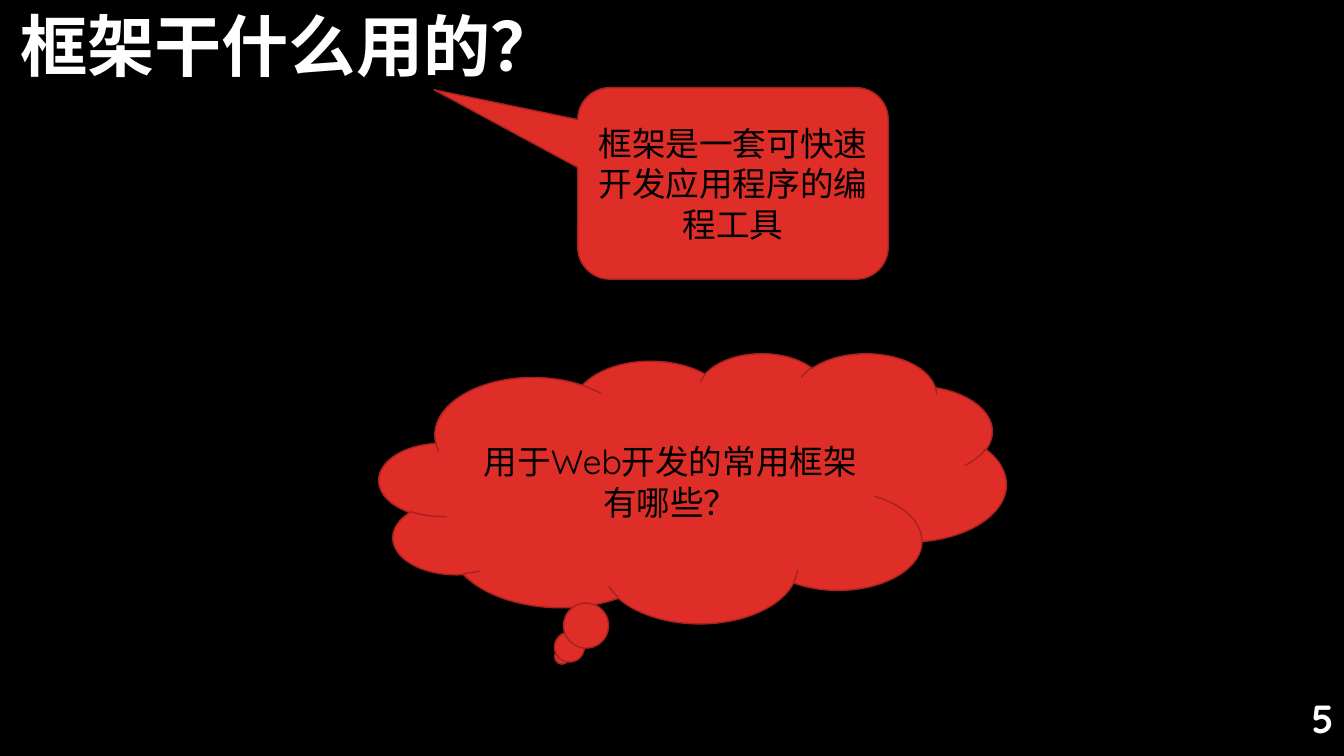
from lxml import etree
from pptx import Presentation
from pptx.dml.color import RGBColor
from pptx.enum import shapes, text
from pptx.oxml.ns import qn
from pptx.util import Inches, Pt

HAN_FONT, LATIN_FONT = "Noto Sans CJK SC", "Quicksand"
BLACK, WHITE, RED, DARK_RED = "000000", "FFFFFF", "DF2E28", "A5221E"

TITLE = "框架干什么用的？"
PAGE_NUMBER = "5"
# preset, (left, top, width, height), adjustments, wording
CALLOUTS = [
    (shapes.MSO_SHAPE.ROUNDED_RECTANGULAR_CALLOUT, (5.73, 0.87, 3.08, 1.9),
     (-0.963, -0.489, 0.167), "框架是一套可快速开发应用程序的编程工具"),
    (shapes.MSO_SHAPE.CLOUD_CALLOUT, (3.76, 3.5, 6.22, 2.68),
     (), "用于Web开发的常用框架有哪些？"),
]


def color(value):
    return RGBColor.from_string(value)


def place(shape, left, top, width, height):
    shape.left, shape.top = Inches(left), Inches(top)
    shape.width, shape.height = Inches(width), Inches(height)


def write(shape, wording, size, font, hue, align, bold=False):
    frame = shape.text_frame
    frame.word_wrap = True
    frame.auto_size = text.MSO_AUTO_SIZE.NONE
    frame.vertical_anchor = text.MSO_ANCHOR.MIDDLE
    para = frame.paragraphs[0]
    para.alignment = align
    span = para.add_run()
    span.text = wording
    span.font.size, span.font.bold, span.font.name = Pt(size), bold, font
    span.font.color.rgb = color(hue)
    east_asian = etree.Element(qn("a:ea"), typeface=HAN_FONT)
    span.font._element.find(qn("a:latin")).addnext(east_asian)
    return para


deck = Presentation()
deck.slide_width, deck.slide_height = Inches(13.33), Inches(7.5)
page = deck.slides.add_slide(deck.slide_layouts[5])
page.background.fill.solid()
page.background.fill.fore_color.rgb = color(BLACK)

title = page.shapes.title
place(title, 0.1, 0, 9.33, 0.99)
para = write(title, TITLE, 48, HAN_FONT, WHITE, text.PP_ALIGN.LEFT, bold=True)
para.line_spacing = 0.9

for preset, box, adjustments, wording in CALLOUTS:
    callout = page.shapes.add_shape(preset, *map(Inches, box))
    for index, value in enumerate(adjustments):
        callout.adjustments[index] = value
    callout.shadow.inherit = False
    callout.fill.solid()
    callout.fill.fore_color.rgb = color(RED)
    callout.line.color.rgb = color(DARK_RED)
    callout.line.width = Pt(1)
    write(callout, wording, 24, LATIN_FONT, BLACK, text.PP_ALIGN.CENTER)

number = page.shapes.add_textbox(*map(Inches, (10.33, 6.92, 3, 0.4)))
write(number, PAGE_NUMBER, 28, LATIN_FONT, WHITE, text.PP_ALIGN.RIGHT, bold=True)

deck.save("out.pptx")
